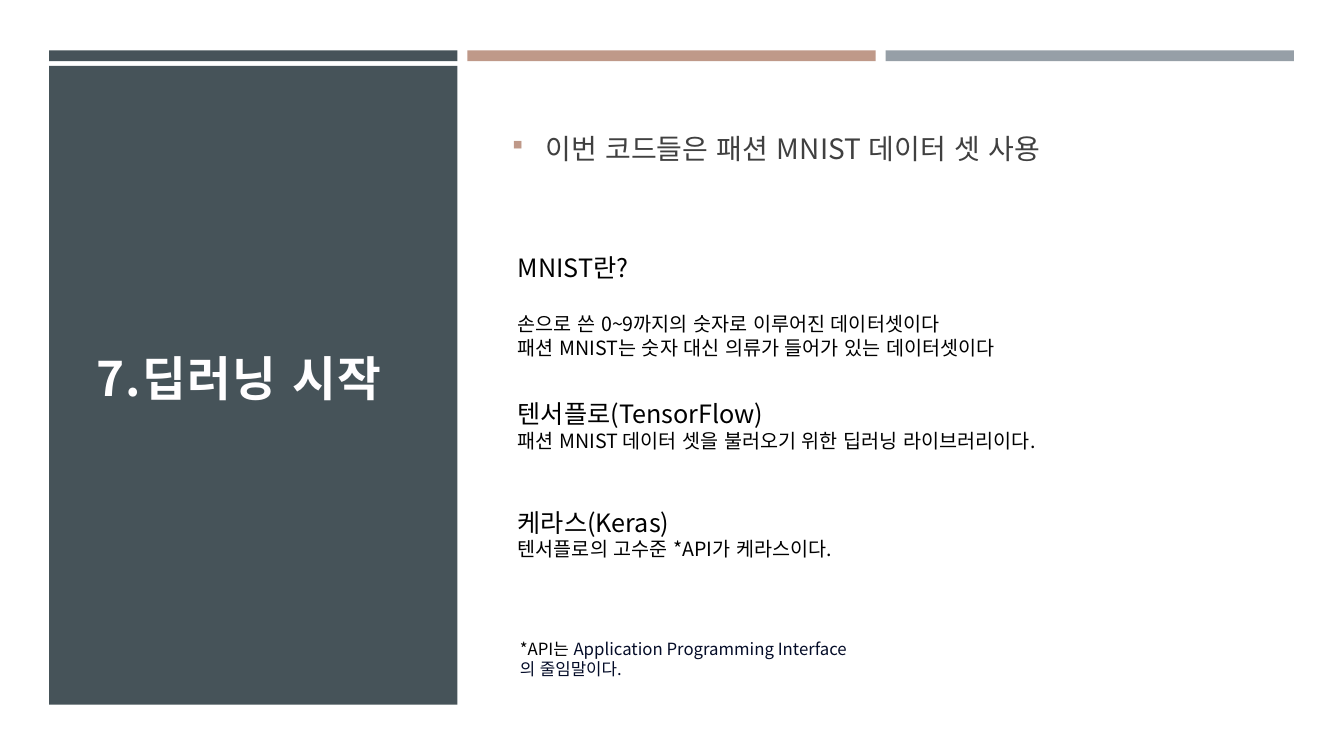
from pptx import Presentation
from pptx.dml.color import RGBColor
from pptx.enum.lang import MSO_LANGUAGE_ID
from pptx.enum.shapes import MSO_SHAPE
from pptx.enum.text import MSO_ANCHOR, PP_ALIGN
from pptx.oxml import parse_xml
from pptx.oxml.ns import nsdecls
from pptx.util import Cm, Pt

RECT = MSO_SHAPE.RECTANGLE
LEFT = PP_ALIGN.LEFT
TOP, MIDDLE = MSO_ANCHOR.TOP, MSO_ANCHOR.MIDDLE
KOREAN = MSO_LANGUAGE_ID.KOREAN

FONT = "Noto Sans CJK KR"
SLATE, ROSE, GREY = "465359", "BF9989", "969FA7"
BLACK, DARK, NAVY, OFF_WHITE = "000000", "404040", "040C28", "FFFEFF"


def rgb(hex_color):
    return RGBColor.from_string(hex_color)


def add_run(p, text, size=14, color=BLACK, bold=False, spacing=0):
    """Append a run; spacing is the letter spacing in points."""
    r = p.add_run()
    r.text = text
    r.font.size = Pt(size)
    r.font.name = FONT
    r.font.bold = bold
    r.font.language_id = KOREAN
    r.font.color.rgb = rgb(color)
    rPr = r.font._element
    rPr.append(parse_xml(f'<a:ea {nsdecls("a")} typeface="{FONT}"/>'))
    if spacing:
        rPr.set("spc", str(round(spacing * 100)))


def add_square_bullet(p, color, indent):
    pPr = p._p.get_or_add_pPr()
    pPr.set("marL", str(indent))
    pPr.set("indent", str(-indent))
    for xml in (f'<a:buClr {nsdecls("a")}><a:srgbClr val="{color}"/></a:buClr>',
                f'<a:buSzPct {nsdecls("a")} val="92000"/>',
                f'<a:buFont {nsdecls("a")} typeface="Wingdings" charset="2"/>',
                f'<a:buChar {nsdecls("a")} char="§"/>'):
        pPr.append(parse_xml(xml))


class SlideBuilder:
    def __init__(self, slide):
        self.slide = slide

    def bar(self, x, y, w, h, color):
        sp = self.slide.shapes.add_shape(RECT, Cm(x), Cm(y), Cm(w), Cm(h))
        sp.shadow.inherit = False
        sp.fill.solid()
        sp.fill.fore_color.rgb = rgb(color)
        sp.line.fill.background()

    def frame(self, sp, anchor, inset):
        """Set up the text frame with an inset on the left, top and right."""
        tf = sp.text_frame
        tf.word_wrap = True
        tf.vertical_anchor = anchor
        tf.margin_left = tf.margin_right = Cm(0.25)
        tf.margin_top = tf.margin_bottom = Cm(0.13)
        if inset:
            tf.margin_left = tf.margin_right = tf.margin_top = Cm(inset)
            tf.margin_bottom = Cm(0.25)
        return tf

    def title(self, x, y, w, h, text):
        """Fill the title placeholder and bring it in front of the panel."""
        sp = self.slide.shapes.title
        self.slide.shapes._spTree.append(sp._element)
        sp.left, sp.top, sp.width, sp.height = Cm(x), Cm(y), Cm(w), Cm(h)
        p = self.frame(sp, MIDDLE, 0.3).paragraphs[0]
        p.alignment = LEFT
        p.line_spacing = 1.05
        add_run(p, text, size=34, color=OFF_WHITE, bold=True, spacing=1)

    def text_box(self, x, y, w, h, inset=0):
        sp = self.slide.shapes.add_textbox(Cm(x), Cm(y), Cm(w), Cm(h))
        return self.frame(sp, TOP, inset)

    def bullet(self, x, y, w, h, text):
        p = self.text_box(x, y, w, h, inset=0.3).paragraphs[0]
        p.line_spacing = 1.14
        p.space_before, p.space_after = Pt(5.5), Pt(6)
        add_square_bullet(p, ROSE, Cm(0.84))
        add_run(p, text, size=20, color=DARK, spacing=0.1)

    def topic(self, x, y, w, h, heading, lines, gap):
        tf = self.text_box(x, y, w, h)
        p = tf.paragraphs[0]
        p.space_after = Pt(gap)
        add_run(p, heading, size=18)
        for line in lines:
            add_run(tf.add_paragraph(), line)

    def footnote(self, x, y, w, h, parts):
        p = self.text_box(x, y, w, h).paragraphs[0]
        for text, color in parts:
            add_run(p, text, size=12, color=color)


def main():
    prs = Presentation()
    prs.slide_width, prs.slide_height = Cm(33.87), Cm(19.05)
    s = SlideBuilder(prs.slides.add_slide(prs.slide_layouts[5]))

    panel_x, panel_w, bar_pitch = 1.24, 10.29, 10.54
    for i, color in enumerate((SLATE, ROSE, GREY)):
        s.bar(panel_x + i * bar_pitch, 1.27, panel_w, 0.27, color)
    s.bar(panel_x, 1.66, panel_w, 16.1, SLATE)

    s.title(2.13, 2.9, 8.48, 13.08, "7.딥러닝 시작")
    s.bullet(12.6, 2.9, 18.69, 4.14, "이번 코드들은 패션 MNIST 데이터 셋 사용")

    topics = [
        (6.22, 3.76, "MNIST란?",
         ["손으로 쓴 0~9까지의 숫자로 이루어진 데이터셋이다",
          "패션 MNIST는 숫자 대신 의류가 들어가 있는 데이터셋이다"], 21.5),
        (9.91, 3.58, "텐서플로(TensorFlow)",
         ["패션 MNIST 데이터 셋을 불러오기 위한 딥러닝 라이브러리이다."], 0),
        (12.65, 3, "케라스(Keras)",
         ["텐서플로의 고수준 *API가 케라스이다."], 0),
    ]
    for y, h, heading, lines, gap in topics:
        s.topic(12.8, y, 14.2, h, heading, lines, gap)

    s.footnote(12.85, 15.96, 9.09, 1.27, [
        ("*API는 ", BLACK),
        ("Application Programming Interface의 줄임말이다.", NAVY)])

    prs.save("out.pptx")


if __name__ == "__main__":
    main()
